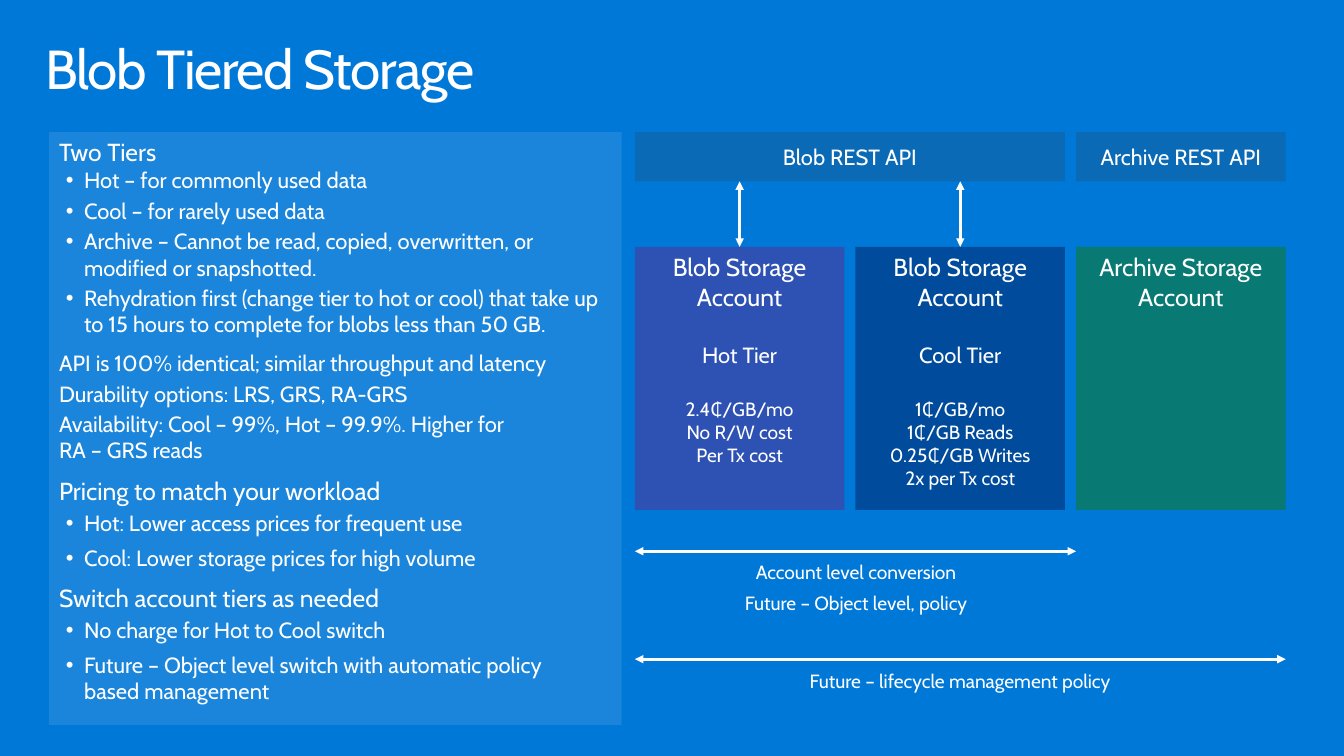
from copy import deepcopy
from dataclasses import dataclass
from typing import Optional

from lxml import etree
from pptx import Presentation
from pptx.dml.color import RGBColor
from pptx.enum.shapes import MSO_CONNECTOR, MSO_SHAPE
from pptx.enum.text import MSO_ANCHOR, PP_ALIGN
from pptx.oxml.ns import qn
from pptx.util import Cm, Pt

RECTANGLE = MSO_SHAPE.RECTANGLE
STRAIGHT = MSO_CONNECTOR.STRAIGHT
TOP, MIDDLE = MSO_ANCHOR.TOP, MSO_ANCHOR.MIDDLE
LEFT, CENTER = PP_ALIGN.LEFT, PP_ALIGN.CENTER

AZURE = RGBColor(0x00, 0x78, 0xD7)
WHITE = RGBColor(0xFF, 0xFF, 0xFF)
PURPLE = RGBColor(0x5C, 0x2D, 0x91)
NAVY = RGBColor(0x00, 0x20, 0x60)
GREEN = RGBColor(0x10, 0x7C, 0x10)
CHARCOAL = RGBColor(0x35, 0x35, 0x35)

FONT = "Cabin"
TITLE_SIZE, HEADING_SIZE, BODY_SIZE, DETAIL_SIZE = 39.2, 17.6, 15.7, 13.7
SECTION_GAP, ITEM_GAP, BULLET_GAP, CARD_GAP = 5.9, 2.9, 3.1, 21.4

# Column grid and row edges, in centimetres
GRID_LEFT, COLUMN_WIDTH, COLUMN_PITCH = 16.0, 5.28, 5.56
PANEL_TOP, API_HEIGHT = 3.33, 1.24
CARD_TOP, CARD_HEIGHT = 6.22, 6.63


@dataclass(frozen=True)
class Line:
    text: str
    size: float = BODY_SIZE
    before: float = 0
    after: float = 0
    bullet: bool = False


@dataclass(frozen=True)
class Box:
    left: float
    top: float
    width: float
    height: float
    lines: list[Line]
    fill: Optional[RGBColor] = None
    opacity: int = 100
    alignment: PP_ALIGN = CENTER
    anchor: MSO_ANCHOR = TOP
    margins: tuple[float, float] = (0.25, 0.13)


@dataclass(frozen=True)
class Arrow:
    start: tuple[float, float]
    end: tuple[float, float]


def column_left(index: int) -> float:
    return GRID_LEFT + index * COLUMN_PITCH


def column_center(index: int) -> float:
    return column_left(index) + COLUMN_WIDTH / 2


def apply_format(target: object, values: dict[str, object]) -> None:
    for name, value in values.items():
        setattr(target, name, value)


def write_line(paragraph, line: Line, alignment: PP_ALIGN) -> None:
    paragraph.text = line.text
    apply_format(paragraph, {
        "alignment": alignment,
        "space_before": Pt(line.before),
        "space_after": Pt(line.after),
    })
    if line.bullet:
        paragraph.level = 1
        properties = paragraph._p.get_or_add_pPr()
        properties.set("marL", str(Cm(0.63)))
        properties.set("indent", str(Cm(-0.46)))
        etree.SubElement(properties, qn("a:buFont")).set("typeface", "Arial")
        etree.SubElement(properties, qn("a:buChar")).set("char", "•")
    for run in paragraph.runs:
        apply_format(run.font, {"name": FONT, "size": Pt(line.size)})
        run.font.color.rgb = WHITE
    for line_break in paragraph._p.findall(qn("a:br")):
        line_break.insert(0, deepcopy(paragraph.runs[0]._r.rPr))


def draw_box(slide, box: Box):
    frame = [Cm(length) for length in (box.left, box.top, box.width, box.height)]
    if box.fill is None:
        shape = slide.shapes.add_textbox(*frame)
    else:
        shape = slide.shapes.add_shape(RECTANGLE, *frame)
        shape.shadow.inherit = False
        shape.line.fill.background()
        shape.fill.solid()
        shape.fill.fore_color.rgb = box.fill
        color = shape._element.spPr.find(".//" + qn("a:srgbClr"))
        etree.SubElement(color, qn("a:alpha")).set("val", str(box.opacity * 1000))
    side, edge = (Cm(margin) for margin in box.margins)
    text_frame = shape.text_frame
    apply_format(text_frame, {
        "word_wrap": True,
        "vertical_anchor": box.anchor,
        "margin_left": side,
        "margin_right": side,
        "margin_top": edge,
        "margin_bottom": edge,
    })
    for index, line in enumerate(box.lines):
        paragraph = text_frame.add_paragraph() if index else text_frame.paragraphs[0]
        write_line(paragraph, line, box.alignment)
    return shape


def draw_arrow(slide, arrow: Arrow) -> None:
    """Draw a white line with a triangle at both ends."""
    ends = [Cm(length) for length in arrow.start + arrow.end]
    connector = slide.shapes.add_connector(STRAIGHT, *ends)
    connector.line.width = Pt(2)
    connector.line.color.rgb = WHITE
    outline = connector.line._get_or_add_ln()
    for end in ("a:headEnd", "a:tailEnd"):
        etree.SubElement(outline, qn(end)).set("type", "triangle")
    etree.SubElement(connector._element.spPr, qn("a:effectLst"))


def heading(text: str, before: float = SECTION_GAP) -> Line:
    return Line(text, HEADING_SIZE, before)


def bullet(text: str, before: float = 0) -> Line:
    return Line(text, before=before, after=ITEM_GAP, bullet=True)


def api_bar(column: int, span: int, text: str) -> Box:
    width = COLUMN_WIDTH + (span - 1) * COLUMN_PITCH
    return Box(column_left(column), PANEL_TOP, width, API_HEIGHT, [Line(text)],
               CHARCOAL, 20, anchor=MIDDLE)


def account_card(column: int, fill: RGBColor, name: str, tier: str = "",
                 costs: tuple[str, ...] = ()) -> Box:
    lines = [heading(name, 0)]
    if tier:
        lines.append(Line(tier, before=CARD_GAP))
    lines += [Line(cost, DETAIL_SIZE, 0 if index else CARD_GAP)
              for index, cost in enumerate(costs)]
    return Box(column_left(column), CARD_TOP, COLUMN_WIDTH, CARD_HEIGHT, lines, fill, 50)


def caption(left: float, top: float, *texts: str) -> Box:
    lines = [Line(text, DETAIL_SIZE, after=SECTION_GAP) for text in texts]
    return Box(left, top, 7.75, 1.37, lines, margins=(0, 0))


TITLE = Box(0.74, 0.81, 32.38, 2.49, [Line("Blob Tiered Storage", TITLE_SIZE)],
            alignment=LEFT, margins=(0.41, 0.25))

FEATURES = [
    heading("Two Tiers", 0),
    bullet("Hot – for commonly used data"),
    bullet("Cool – for rarely used data"),
    bullet("Archive – Cannot be read, copied, overwritten, or modified or snapshotted."),
    bullet("Rehydration first (change tier to hot or cool) that take up to 15 hours "
           "to complete for blobs less than 50 GB."),
    Line("API is 100% identical; similar throughput and latency",
         before=SECTION_GAP, after=ITEM_GAP),
    Line("Durability options: LRS, GRS, RA-GRS", after=ITEM_GAP),
    Line("Availability: Cool – 99%, Hot – 99.9%. Higher for\vRA – GRS reads", after=ITEM_GAP),
    heading("Pricing to match your workload"),
    bullet("Hot: Lower access prices for frequent use", BULLET_GAP),
    bullet("Cool: Lower storage prices for high volume", BULLET_GAP),
    heading("Switch account tiers as needed"),
    bullet("No charge for Hot to Cool switch", BULLET_GAP),
    bullet("Future – Object level switch with automatic policy\vbased management", BULLET_GAP),
]

BOXES = [
    account_card(0, PURPLE, "Blob Storage Account", "Hot Tier",
                 ("2.4₵/GB/mo", "No R/W cost", "Per Tx cost")),
    account_card(1, NAVY, "Blob Storage Account", "Cool Tier",
                 ("1₵/GB/mo", "1₵/GB Reads", "0.25₵/GB Writes", "2x per Tx cost")),
    account_card(2, GREEN, "Archive Storage Account"),
    api_bar(0, 2, "Blob REST API"),
    api_bar(2, 1, "Archive REST API"),
    Box(1.24, PANEL_TOP, 14.43, 14.94, FEATURES, WHITE, 10, LEFT),
    caption(17.7, 14.12, "Account level conversion", "Future – Object level, policy"),
    caption(20.32, 16.87, "Future – lifecycle management policy"),
]

ARROWS = [
    Arrow((GRID_LEFT, 13.89), (column_left(2), 13.89)),
    Arrow((GRID_LEFT, 16.61), (column_left(2) + COLUMN_WIDTH, 16.61)),
    *(Arrow((column_center(column), PANEL_TOP + API_HEIGHT),
            (column_center(column), CARD_TOP)) for column in range(2)),
]


def main() -> None:
    presentation = Presentation()
    apply_format(presentation, {"slide_width": Cm(33.87), "slide_height": Cm(19.05)})
    slide = presentation.slides.add_slide(presentation.slide_layouts[6])
    slide.background.fill.solid()
    slide.background.fill.fore_color.rgb = AZURE
    title = draw_box(slide, TITLE).text_frame.paragraphs[0]
    title.line_spacing = 0.9
    title.runs[0]._r.rPr.set("spc", "-100")
    for box in BOXES:
        draw_box(slide, box)
    for arrow in ARROWS:
        draw_arrow(slide, arrow)
    presentation.save("out.pptx")


if __name__ == "__main__":
    main()
